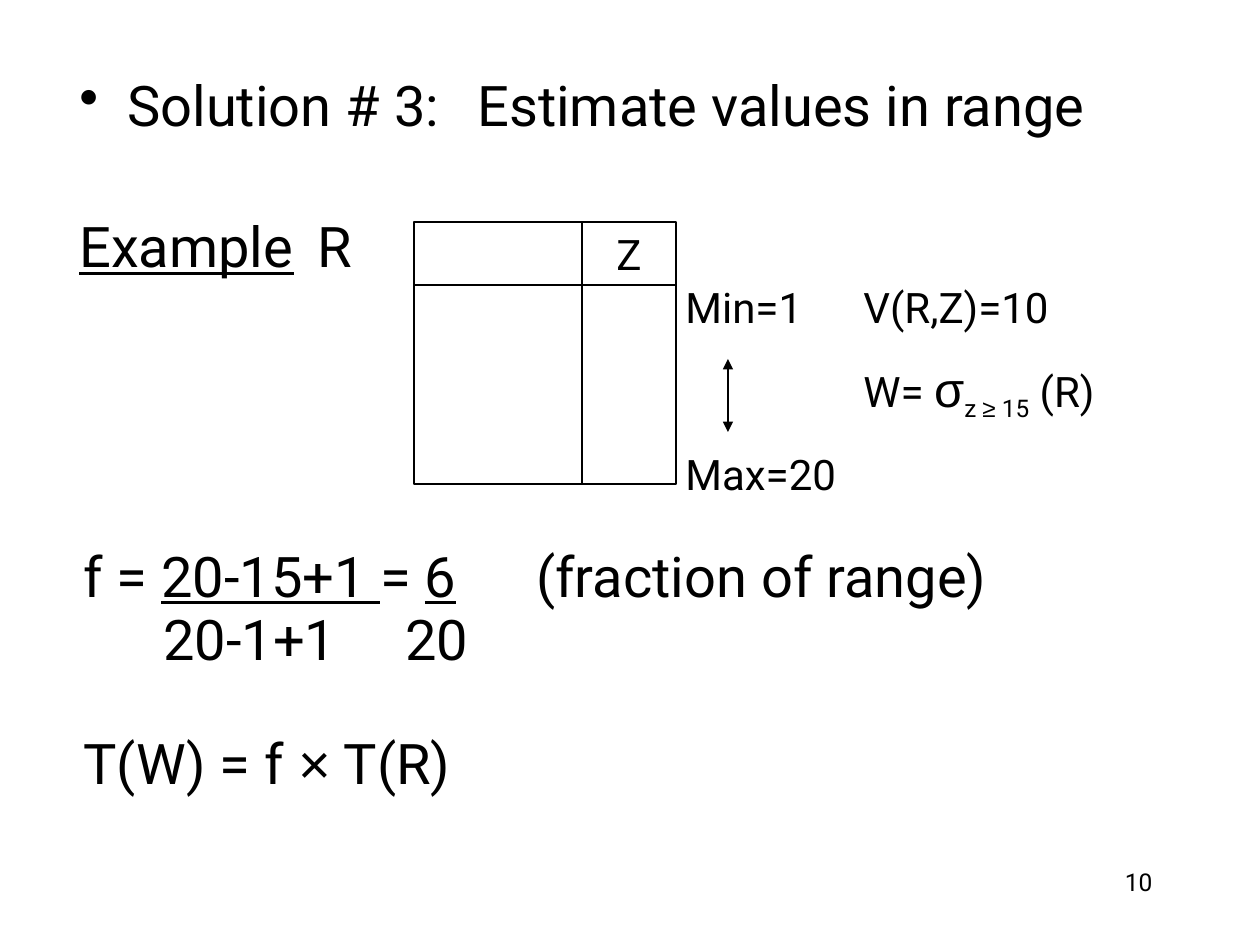
from lxml import etree
from pptx import Presentation, util as u
from pptx.dml.color import RGBColor
from pptx.enum import shapes, text
from pptx.oxml import ns

PX = 914400 // 126
BLACK = RGBColor(0, 0, 0)
WHITE = RGBColor(255, 255, 255)


def px(*lengths):
    """Turn pixel lengths into EMU."""
    return [u.Emu(length * PX) for length in lengths]


def add_para(frame, spans, first=False, before=0, spacing=None, tabs=(), align=None):
    """Write a paragraph from (text, style) spans."""
    para = frame.paragraphs[0] if first else frame.add_paragraph()
    para.space_before = u.Pt(before)
    para.alignment = align
    if spacing:
        para.line_spacing = spacing
    if tabs:
        tab_list = etree.SubElement(para._p.get_or_add_pPr(), ns.qn("a:tabLst"))
        for stop in tabs:
            etree.SubElement(tab_list, ns.qn("a:tab"), pos=str(stop * PX), algn="l")
    for words, style in spans:
        span = para.add_run()
        span.text = words
        span.font.name = style.get("font", "Roboto")
        span.font.size = u.Pt(style["size"])
        span.font.color.rgb = BLACK
        if style.get("underline"):
            span.font.underline = True
        if style.get("sub"):
            span._r.get_or_add_rPr().set("baseline", "-25000")
    return para


def add_text(page, bounds, paras, anchor=text.MSO_ANCHOR.TOP):
    """Add a wrapping text box with its paragraphs."""
    frame = page.shapes.add_textbox(*px(*bounds)).text_frame
    frame.word_wrap = True
    frame.vertical_anchor = anchor
    return [add_para(frame, first=i == 0, **para) for i, para in enumerate(paras)]


def add_bullet(para, indent):
    """Give a paragraph a hanging bullet."""
    props = para._p.get_or_add_pPr()
    props.set("marL", str(indent * PX))
    props.set("indent", str(-indent * PX))
    bullet = etree.Element(ns.qn("a:buChar"), char="•")
    tab_list = props.find(ns.qn("a:tabLst"))
    tab_list.addprevious(bullet)


def add_cell(page, bounds, label=""):
    """Add one outlined cell of the relation diagram."""
    box = page.shapes.add_shape(shapes.MSO_SHAPE.RECTANGLE, *px(*bounds))
    box.shadow.inherit = False
    box.fill.solid()
    box.fill.fore_color.rgb = WHITE
    box.line.color.rgb = BLACK
    box.line.width = u.Pt(0.75)
    if label:
        box.text_frame.word_wrap = False
        box.text_frame.vertical_anchor = text.MSO_ANCHOR.MIDDLE
        add_para(box.text_frame, [(label, {"size": 24})], first=True,
                 align=text.PP_ALIGN.CENTER)


def add_relation(page):
    """Draw relation R with its Z column."""
    for top, height, label in ((222, 63, "Z"), (285, 199, "")):
        add_cell(page, (414, top, 168, height))
        add_cell(page, (582, top, 94, height), label)


def add_range_arrow(page, x, top, bottom):
    """Add a vertical double-headed arrow."""
    arrow = page.shapes.add_connector(
        shapes.MSO_CONNECTOR.STRAIGHT, *px(x, top, x, bottom))
    arrow.line.color.rgb = BLACK
    arrow.line.width = u.Pt(0.75)
    for end in ("a:headEnd", "a:tailEnd"):
        etree.SubElement(arrow.line._get_or_add_ln(), ns.qn(end), type="triangle")
    etree.SubElement(arrow._element.spPr, ns.qn("a:effectLst"))


def main():
    """Build the slide and save it."""
    deck = Presentation()
    deck.slide_width, deck.slide_height = px(1260, 945)
    page = deck.slides.add_slide(deck.slide_layouts[6])
    large, lined = {"size": 32}, {"size": 32, "underline": True}
    medium, sub = {"size": 24}, {"size": 24, "sub": True}

    add_text(page, (903, 861, 262, 63), [
        {"spans": [("10", {"size": 14})], "align": text.PP_ALIGN.RIGHT}])
    heading, _ = add_text(page, (67, 64, 1071, 567), [
        {"spans": [("Solution # 3:\tEstimate values in range", large)],
         "tabs": [398]},
        {"spans": [("Example", lined), ("\tR", large)],
         "before": 56, "spacing": 0.6, "tabs": [238]}])
    add_bullet(heading, 48)
    add_relation(page)
    add_text(page, (673, 275, 522, 231), [
        {"spans": [("Min=1\tV(R,Z)=10", medium)], "tabs": [178]},
        {"spans": [("\tW= ", medium), ("σ", {"size": 28, "font": "Arial"}),
                   ("z ", sub), ("≥", {**sub, "font": "Arial"}),
                   (" 15", sub), (" (R)", medium)],
         "before": 15, "tabs": [178]},
        {"spans": [("Max=20", medium)], "before": 15}],
        text.MSO_ANCHOR.MIDDLE)
    add_range_arrow(page, 728, 359, 432)
    add_text(page, (71, 535, 1071, 307), [
        {"spans": [("f = ", large), ("20-15+1 ", lined), ("= ", large),
                   ("6", lined), ("\t(fraction of range)", large)],
         "tabs": [453]},
        {"spans": [("\t20-1+1\t20", large)],
         "before": 8, "spacing": 0.7, "tabs": [80, 322]},
        {"spans": [("T(W) = f ", large), ("×", {**large, "font": "Arial"}),
                   (" T(R)", large)],
         "before": 44, "spacing": 0.7}])
    deck.save("out.pptx")


if __name__ == "__main__":
    main()
